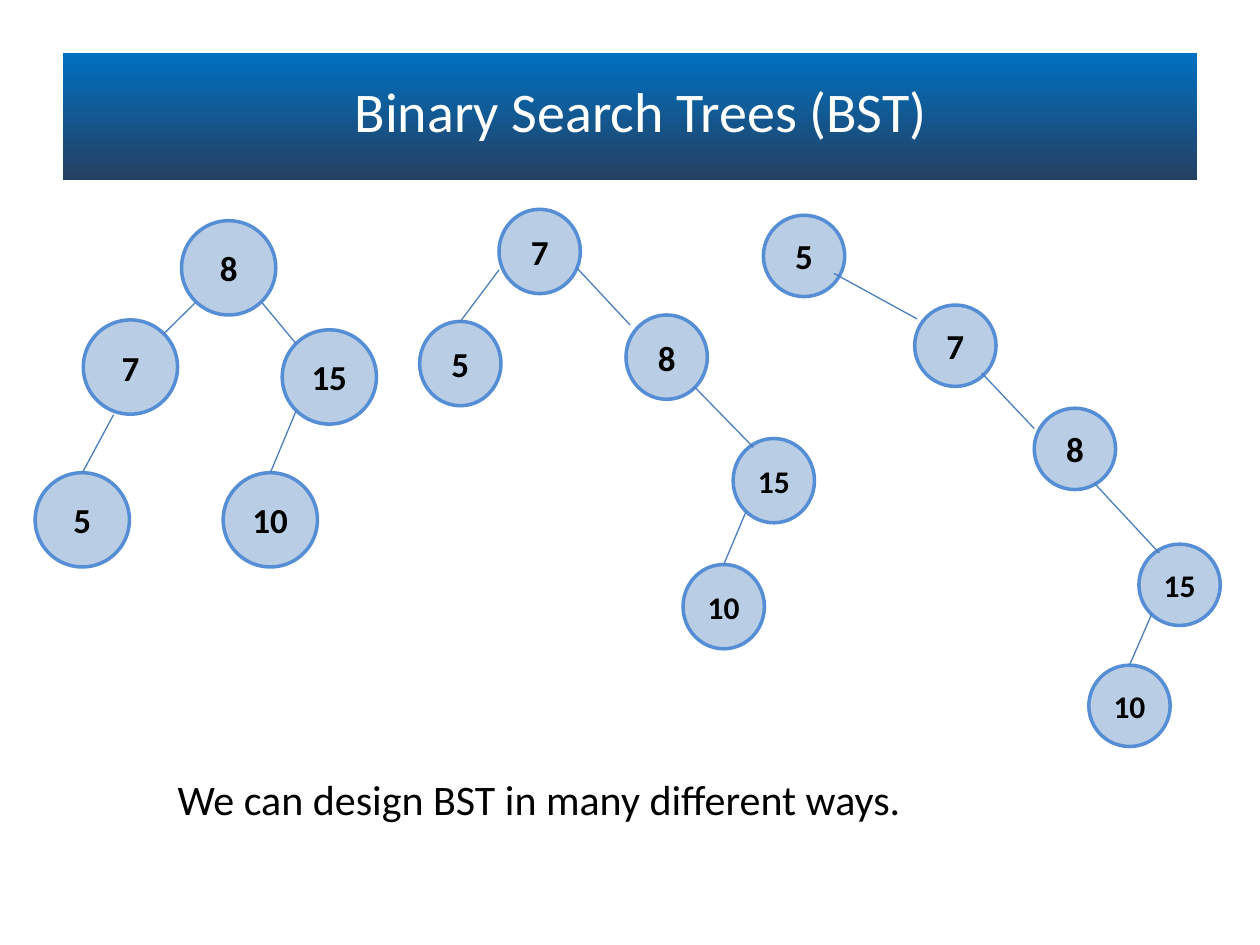
from pptx import Presentation
from pptx.dml.color import RGBColor
from pptx.enum.shapes import MSO_CONNECTOR, MSO_SHAPE
from pptx.enum.text import MSO_ANCHOR, PP_ALIGN
from pptx.oxml.ns import qn
from pptx.util import Cm, Pt
from lxml import etree

STRAIGHT = MSO_CONNECTOR.STRAIGHT
RECTANGLE, OVAL = MSO_SHAPE.RECTANGLE, MSO_SHAPE.OVAL
TOP, MIDDLE = MSO_ANCHOR.TOP, MSO_ANCHOR.MIDDLE
LEFT, CENTER = PP_ALIGN.LEFT, PP_ALIGN.CENTER
TOP_SITE = 0

COLORS = {
    "band_top": "0070C0",
    "band_bottom": "254061",
    "title": "FFFFFF",
    "text": "000000",
    "node": "B9CDE5",
    "node_line": "558ED5",
    "edge": "4B7EBC",
}

TREES = [
    {
        "size": (1.9, 1.9),
        "two_digit_font": 20,
        "nodes": {"15": (5.69, 6.65), "8": (3.66, 4.45), "7": (1.68, 6.45),
                  "10": (4.5, 9.53), "5": (0.71, 9.53)},
        "edges": [((3.94, 6.1), (3.3, 6.73)), ((2.29, 8.36), "5"),
                  ((5.28, 6.1), (5.97, 6.93)), ((5.97, 8.28), "10")],
    },
    {
        "size": (1.64, 1.7),
        "two_digit_font": 18,
        "nodes": {"15": (14.78, 8.84), "8": (12.62, 6.35), "7": (10.06, 4.22),
                  "10": (13.77, 11.38), "5": (8.46, 6.48)},
        "edges": [((11.61, 5.38), (12.7, 6.55)), ((10.06, 5.44), "5"),
                  ((14, 7.8), (15.19, 9.02)), ((15.04, 10.31), "10")],
    },
    {
        "size": (1.64, 1.64),
        "two_digit_font": 18,
        "nodes": {"15": (22.96, 10.97), "8": (20.85, 8.23), "7": (18.44, 6.15),
                  "10": (21.95, 13.41), "5": (15.39, 4.34)},
        "edges": [((19.79, 7.52), (20.85, 8.64)), ((16.81, 5.51), (18.49, 6.43)),
                  ((22.05, 9.73), (23.37, 11.15)), ((23.22, 12.37), "10")],
    },
]


def color(name):
    return RGBColor.from_string(COLORS[name])


def write(shape, text, size, color_name, align=CENTER, anchor=MIDDLE, bold=False, wrap=True):
    frame = shape.text_frame
    frame.margin_left = frame.margin_right = frame.margin_top = frame.margin_bottom = 0
    frame.vertical_anchor = anchor
    frame.word_wrap = wrap
    paragraph = frame.paragraphs[0]
    paragraph.text = text
    paragraph.alignment = align
    paragraph.font.name = "Calibri"
    paragraph.font.size = Pt(size)
    paragraph.font.bold = bold
    paragraph.font.color.rgb = color(color_name)


presentation = Presentation()
presentation.slide_width, presentation.slide_height = Cm(25.4), Cm(19.05)
slide = presentation.slides.add_slide(presentation.slide_layouts[5])

title = slide.shapes.title
title.left, title.top, title.width, title.height = Cm(1.24), Cm(0.94), Cm(23.37), Cm(2.57)
write(title, "Binary Search Trees (BST)", 32, "title")

band = slide.shapes.add_shape(RECTANGLE, Cm(1.27), Cm(1.07), Cm(22.86), Cm(2.57))
band.shadow.inherit = False
band.line.fill.background()
band.fill.gradient()
band.fill.gradient_angle = 270
for stop, name in zip(band.fill.gradient_stops, ("band_top", "band_bottom")):
    stop.color.rgb = color(name)
title._element.addprevious(band._element)

caption = slide.shapes.add_textbox(Cm(3.58), Cm(15.6), Cm(18.36), Cm(1.6))
write(caption, "We can design BST in many different ways.", 24, "text", LEFT, TOP)

for tree in TREES:
    group = slide.shapes.add_group_shape()
    width, height = tree["size"]
    nodes = {}
    for label, (left, top) in tree["nodes"].items():
        node = group.shapes.add_shape(OVAL, Cm(left), Cm(top), Cm(width), Cm(height))
        node.shadow.inherit = False
        node.fill.solid()
        node.fill.fore_color.rgb = color("node")
        node.line.color.rgb = color("node_line")
        node.line.width = Pt(2)
        font_size = tree["two_digit_font"] if len(label) == 2 else 20
        write(node, label, font_size, "text", bold=True, wrap=False)
        nodes[label] = node

    for start, end in tree["edges"]:
        joined = end in nodes
        x, y = tree["nodes"][end] if joined else end
        edge = group.shapes.add_connector(STRAIGHT, Cm(start[0]), Cm(start[1]), Cm(x), Cm(y))
        if joined:
            edge.end_connect(nodes[end], TOP_SITE)
        edge.line.color.rgb = color("edge")
        edge.line.width = Pt(0.75)
        etree.SubElement(edge._element.spPr, qn("a:effectLst"))

presentation.save("out.pptx")
